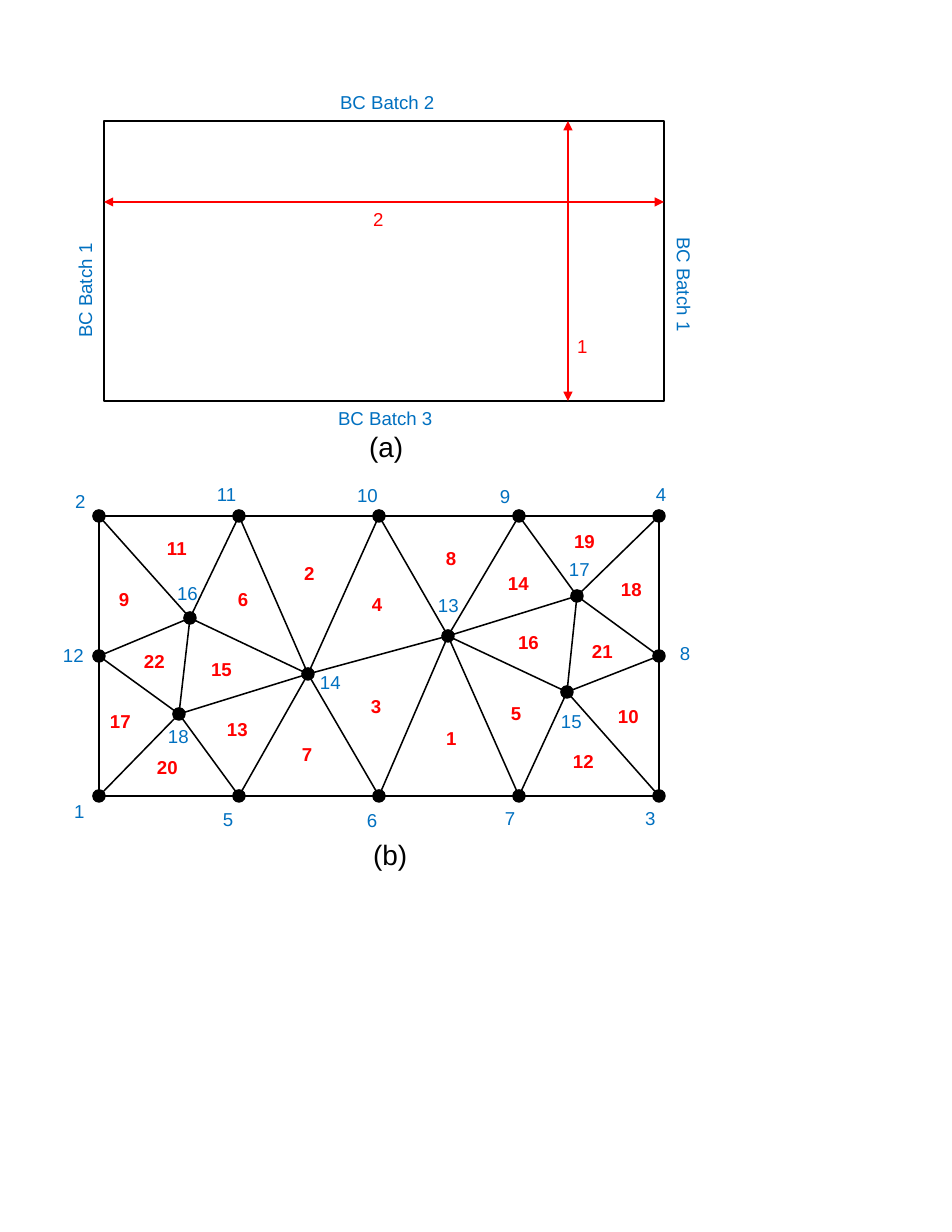
from dataclasses import dataclass
from math import hypot

from lxml.etree import SubElement
from pptx import Presentation
from pptx.dml.color import RGBColor
from pptx.enum.shapes import MSO_CONNECTOR, MSO_SHAPE
from pptx.enum.text import MSO_AUTO_SIZE
from pptx.oxml.ns import qn
from pptx.util import Emu, Pt

PX = 914400 // 112
BLACK, BLUE, RED = "000000", "0070C0", "FF0000"
RADIUS = 6


@dataclass
class Node:
    x: int
    y: int
    label_x: int
    label_y: int
    label_w: int = 76


@dataclass
class Element:
    number: int
    x: int
    y: int
    w: int = 50


COLS = [99 + 140 * i for i in range(5)]
TOP, MIDDLE, BOTTOM = (516 + 140 * i for i in range(3))

NODES = {
    1: Node(COLS[0], BOTTOM, 63, 794, 40),
    2: Node(COLS[0], TOP, 64, 484, 40),
    3: Node(COLS[4], BOTTOM, 634, 801),
    4: Node(COLS[4], TOP, 645, 477),
    5: Node(COLS[1], BOTTOM, 212, 802),
    6: Node(COLS[2], BOTTOM, 356, 803),
    7: Node(COLS[3], BOTTOM, 494, 801),
    8: Node(COLS[4], MIDDLE, 669, 636),
    9: Node(COLS[3], TOP, 489, 479),
    10: Node(COLS[2], TOP, 346, 478),
    11: Node(COLS[1], TOP, 206, 477),
    12: Node(COLS[0], MIDDLE, 52, 638),
    13: Node(448, 636, 427, 588),
    14: Node(308, 674, 309, 665),
    15: Node(567, 692, 550, 704),
    16: Node(190, 618, 166, 576),
    17: Node(577, 596, 558, 552),
    18: Node(179, 714, 157, 719),
}

EDGES = [
    (2, 11), (11, 10), (10, 9), (9, 4), (2, 12), (12, 1), (5, 1), (6, 5),
    (7, 6), (3, 7), (3, 8), (8, 4), (2, 16), (11, 16), (11, 14), (10, 14),
    (10, 13), (9, 13), (9, 17), (4, 17), (12, 16), (12, 18), (18, 1), (18, 5),
    (18, 16), (14, 16), (14, 18), (14, 5), (13, 14), (6, 14), (6, 13), (15, 13),
    (15, 17), (13, 17), (7, 13), (7, 15), (8, 17), (8, 15), (3, 15),
]

ELEMENTS = [
    Element(3, 360, 689, 36), Element(1, 435, 721, 40), Element(4, 361, 587, 36),
    Element(2, 293, 556, 36), Element(6, 227, 582, 36), Element(11, 156, 531),
    Element(9, 108, 582), Element(22, 133, 644), Element(15, 200, 652),
    Element(17, 99, 704), Element(20, 146, 750), Element(13, 216, 712),
    Element(7, 291, 737), Element(8, 435, 541), Element(14, 497, 566),
    Element(16, 507, 625), Element(5, 500, 696), Element(12, 562, 744),
    Element(10, 607, 699), Element(21, 581, 634), Element(18, 610, 572),
    Element(19, 563, 524),
]


def px(n: float) -> Emu:
    return Emu(round(n * PX))


def rgb(color: str) -> RGBColor:
    return RGBColor.from_string(color)


def add_text(shapes, text: str, x: int, y: int, w: int, *, h: int = 34,
             size: int = 12, color: str = BLUE, bold: bool = False,
             rotation: int = 0) -> None:
    sp = shapes.add_textbox(px(x), px(y), px(w), px(h))
    sp.rotation = rotation
    tf = sp.text_frame
    tf.word_wrap = True
    tf.auto_size = MSO_AUTO_SIZE.SHAPE_TO_FIT_TEXT
    r = tf.paragraphs[0].add_run()
    r.text = text
    r.font.name = "Arial"
    r.font.size = Pt(size)
    r.font.bold = bold
    r.font.color.rgb = rgb(color)


def add_outline(shapes, kind: MSO_SHAPE, x: int, y: int, w: int, h: int,
                fill: str = "") -> None:
    sp = shapes.add_shape(kind, px(x), px(y), px(w), px(h))
    sp.shadow.inherit = False
    if fill:
        sp.fill.solid()
        sp.fill.fore_color.rgb = rgb(fill)
    else:
        sp.fill.background()
    sp.line.color.rgb = rgb(BLACK)
    sp.line.width = Pt(1)


def add_line(shapes, x1: float, y1: float, x2: float, y2: float, *,
             color: str = BLACK, arrows: bool = False) -> None:
    ln = shapes.add_connector(MSO_CONNECTOR.STRAIGHT, px(x1), px(y1), px(x2), px(y2))
    ln.line.color.rgb = rgb(color)
    ln.line.width = Pt(1)
    if arrows:
        for end in ("a:headEnd", "a:tailEnd"):
            SubElement(ln.line._get_or_add_ln(), qn(end), type="triangle")
    SubElement(ln._element.spPr, qn("a:effectLst"))


def add_edge(shapes, a: Node, b: Node) -> None:
    length = hypot(b.x - a.x, b.y - a.y)
    dx = (b.x - a.x) / length * RADIUS
    dy = (b.y - a.y) / length * RADIUS
    add_line(shapes, a.x + dx, a.y + dy, b.x - dx, b.y - dy)


def draw_mesh(shapes) -> None:
    for node in NODES.values():
        add_outline(shapes, MSO_SHAPE.OVAL, node.x - RADIUS, node.y - RADIUS,
                    2 * RADIUS, 2 * RADIUS, BLACK)
    for start, end in EDGES:
        add_edge(shapes, NODES[start], NODES[end])
    for number, node in NODES.items():
        add_text(shapes, str(number), node.label_x, node.label_y, node.label_w)
    for e in ELEMENTS:
        add_text(shapes, str(e.number), e.x, e.y, e.w, color=RED, bold=True)


def draw_domain(shapes) -> None:
    left, top, width, height = 104, 121, 560, 280
    add_outline(shapes, MSO_SHAPE.RECTANGLE, left, top, width, height)
    add_line(shapes, left, 202, left + width, 202, color=RED, arrows=True)
    add_text(shapes, "2", 362, 202, 55, color=RED)
    add_line(shapes, 568, top, 568, top + height, color=RED, arrows=True)
    add_text(shapes, "1", 566, 329, 55, color=RED)
    for batch, x, y, rotation in [(1, -3, 244, 270), (1, 596, 297, 90),
                                  (2, 329, 85, 0), (3, 327, 401, 0)]:
        add_text(shapes, f"BC Batch {batch}", x, y, 176, rotation=rotation)


prs = Presentation()
prs.slide_width, prs.slide_height = px(952), px(1232)
s = prs.slides.add_slide(prs.slide_layouts[6])
draw_mesh(s.shapes.add_group_shape().shapes)
draw_domain(s.shapes.add_group_shape().shapes)
for caption, x, y in [("(a)", 358, 424), ("(b)", 362, 832)]:
    add_text(s.shapes, caption, x, y, 81, h=45, size=18, color=BLACK)
prs.save("out.pptx")
